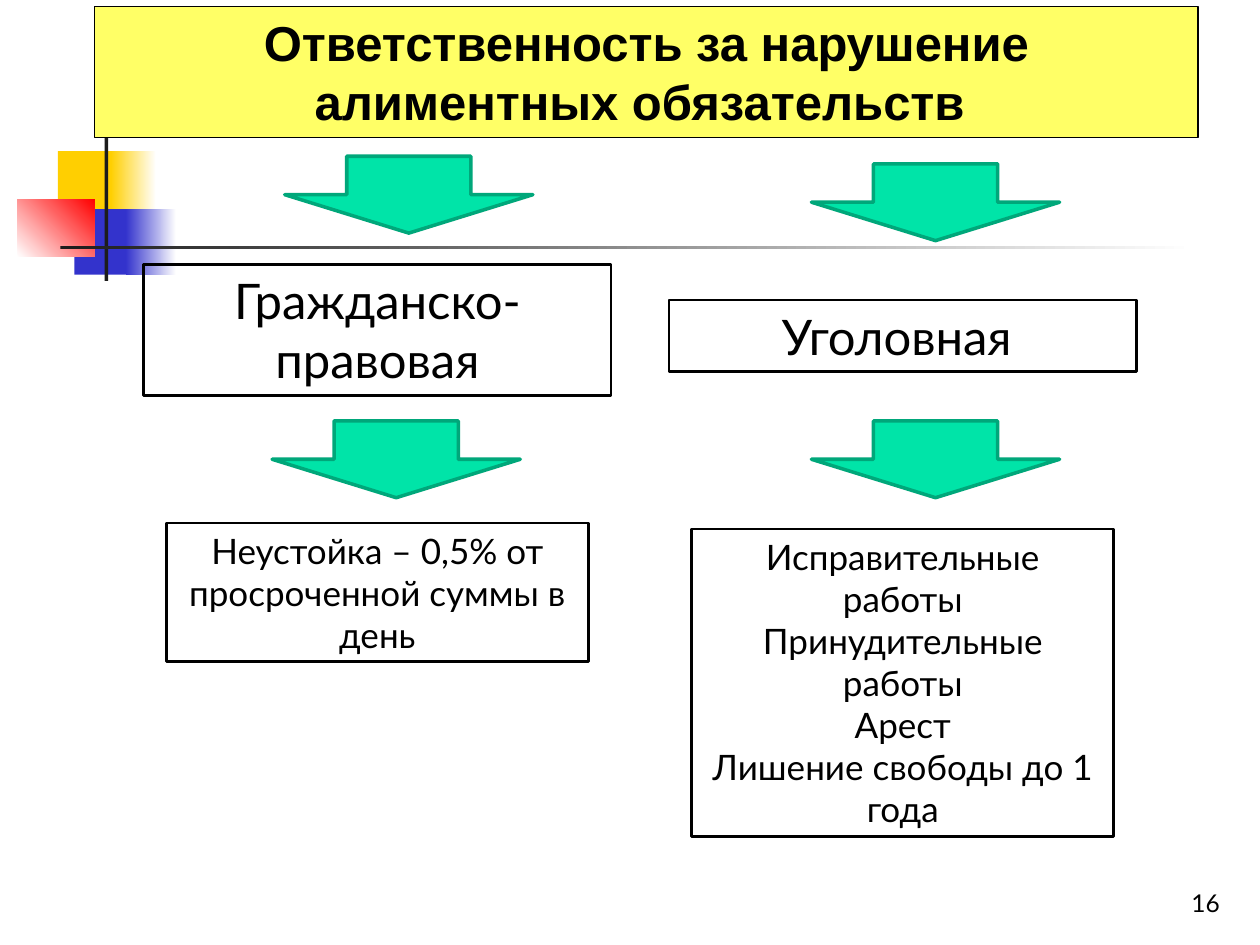
from pptx import Presentation
from pptx.dml.color import RGBColor
from pptx.enum.shapes import MSO_SHAPE
from pptx.enum.text import MSO_ANCHOR, MSO_AUTO_SIZE, PP_ALIGN
from pptx.util import Inches, Pt

# Content: lines of text, box (left, top, width, height), font, fill
TITLE = dict(lines=["Ответственность за нарушение алиментных обязательств "],
             box=(0.75, 0.05, 8.76, 1.04), font=dict(name="Arial", size=Pt(28), bold=True),
             fill="FFFF66", line_width=0.75)
HEADING = dict(name="Lato", size=Pt(28))
BODY = dict(name="Lato", size=Pt(20))
BOXES = [
    TITLE,
    dict(lines=["Гражданско-правовая"], box=(1.14, 2.1, 3.71, 1.04), font=HEADING),
    dict(lines=["Уголовная "], box=(5.31, 2.38, 3.71, 0.57), font=HEADING),
    dict(lines=["Неустойка – 0,5% от просроченной суммы в день"],
         box=(1.32, 4.15, 3.35, 1.1), font=BODY),
    dict(lines=["Исправительные работы", "Принудительные работы", "Арест",
                "Лишение свободы до 1 года"],
         box=(5.49, 4.2, 3.35, 2.44), font=BODY),
]
PAGE_NUMBER = "16"

# Arrow positions (left, top); all share one size
ARROWS = [(2.26, 1.24), (6.44, 1.3), (2.16, 3.34), (6.44, 3.34)]
ARROW_SIZE = (1.97, 0.61)

# Corner ornament: box, colours (two make a gradient), gradient angle
ORNAMENT = [
    ((0.46, 1.2, 0.48, 0.52), ["FFCF01"], 0),
    ((0.88, 1.2, 0.36, 0.52), ["FFCF01", "FFFFFF"], 0),
    ((0.59, 1.66, 0.46, 0.52), ["3333CC"], 0),
    ((1, 1.66, 0.4, 0.52), ["3333CC", "FFFFFF"], 0),
    ((0.14, 1.58, 0.61, 0.46), ["FFFFFF", "FF0000"], 45),
    ((0.83, 1.08, 0.03, 1.15), ["1C1C1C"], 0),
    ((0.48, 1.95, 9, 0.03), ["1C1C1C", "FFFFFF"], 0),
]


def rgb(value):
    return RGBColor.from_string(value)


def add_shape(kind, box, colors=(), angle=0, line=None, line_width=1.5):
    s = slide.shapes.add_shape(kind, *map(Inches, box))
    s.shadow.inherit = False
    if len(colors) == 2:
        s.fill.gradient()
        s.fill.gradient_angle = angle
        for stop, color in zip(s.fill.gradient_stops, colors):
            stop.color.rgb = rgb(color)
    elif colors:
        s.fill.solid()
        s.fill.fore_color.rgb = rgb(colors[0])
    else:
        s.fill.background()
    if line:
        s.line.color.rgb = rgb(line)
        s.line.width = Pt(line_width)
    else:
        s.line.fill.background()
    return s


def write(s, lines, font, align=PP_ALIGN.CENTER, anchor=MSO_ANCHOR.TOP):
    tf = s.text_frame
    tf.word_wrap = True
    tf.vertical_anchor = anchor
    for i, text in enumerate(lines):
        p = tf.add_paragraph() if i else tf.paragraphs[0]
        p.alignment = align
        r = p.add_run()
        r.text = text
        r.font.color.rgb = rgb("000000")
        for key, value in font.items():
            setattr(r.font, key, value)
    return tf


prs = Presentation()
prs.slide_width, prs.slide_height = Inches(10), Inches(7.5)
slide = prs.slides.add_slide(prs.slide_layouts[6])

# Corner ornament
for box, colors, angle in ORNAMENT:
    add_shape(MSO_SHAPE.RECTANGLE, box, colors, angle)

# Page number
number = slide.shapes.add_textbox(*map(Inches, (7.7, 6.83, 2.08, 0.5)))
write(number, [PAGE_NUMBER], dict(name="Lato", size=Pt(14)),
      PP_ALIGN.RIGHT, MSO_ANCHOR.BOTTOM)

# Title and text boxes
for item in BOXES:
    colors = [item["fill"]] if "fill" in item else []
    s = add_shape(MSO_SHAPE.RECTANGLE, item["box"], colors, line="000000",
                  line_width=item.get("line_width", 1.5))
    tf = write(s, item["lines"], item["font"])
    tf.auto_size = MSO_AUTO_SIZE.SHAPE_TO_FIT_TEXT

# Arrows
for position in ARROWS:
    add_shape(MSO_SHAPE.DOWN_ARROW, position + ARROW_SIZE, ["00E4A8"],
              line="00A77A", line_width=2)

prs.save("out.pptx")
